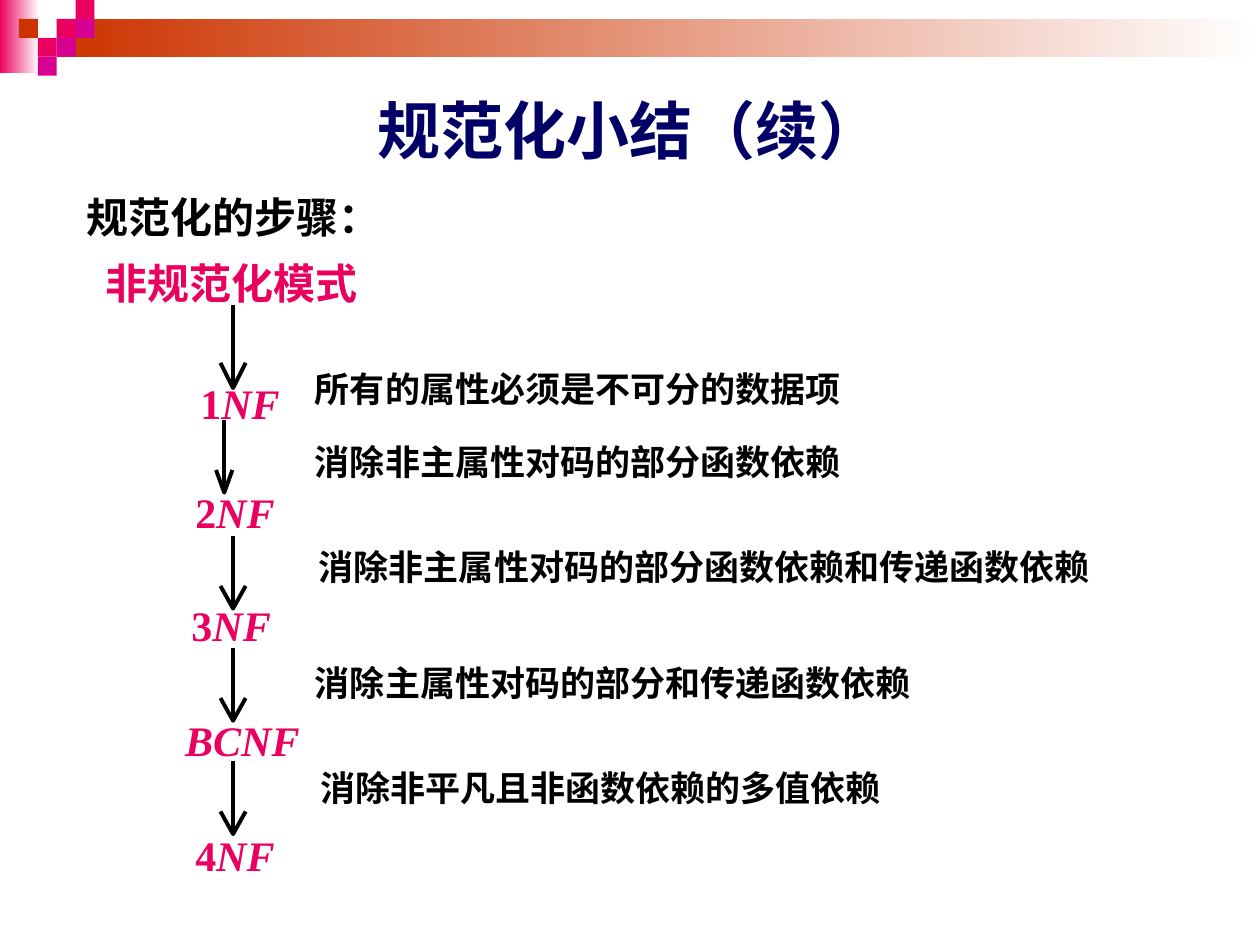
import pptx
import pptx.dml.color
import pptx.enum.shapes
import pptx.enum.text
import pptx.oxml
import pptx.util
from dataclasses import dataclass

Inches = pptx.util.Inches
Pt = pptx.util.Pt


@dataclass(frozen=True)
class Theme:
    pink: str = "EA005F"
    magenta: str = "D60093"
    rust: str = "CC3300"
    navy: str = "000066"
    black: str = "000000"
    white: str = "FFFFFF"
    title_size: int = 36
    step_size: int = 24
    note_size: int = 20
    heading_font: str = "Arial"
    body_font: str = "Times New Roman"
    line_width: float = 2.25


THEME = Theme()
SQUARE = 0.15


def color(value):
    return pptx.dml.color.RGBColor.from_string(value)


def add_block(slide, left, top, width, height, start, end=None):
    """Add a borderless rectangle, solid or fading from left to right."""
    shape = slide.shapes.add_shape(
        pptx.enum.shapes.MSO_SHAPE.RECTANGLE,
        Inches(left), Inches(top), Inches(width), Inches(height))
    shape.shadow.inherit = False
    shape.line.fill.background()
    if end is None:
        shape.fill.solid()
        shape.fill.fore_color.rgb = color(start)
        return
    shape.fill.gradient()
    shape.fill.gradient_angle = 0
    for stop, value in zip(shape.fill.gradient_stops, (start, end)):
        stop.color.rgb = color(value)


def add_text(slide, left, top, width, height, runs, size, font, value,
             wrap=True, margins=(0, 0)):
    """Add a bold one-line text box; runs are (text, italic) pairs."""
    box = slide.shapes.add_textbox(
        Inches(left), Inches(top), Inches(width), Inches(height))
    frame = box.text_frame
    frame.word_wrap = wrap
    frame.auto_size = pptx.enum.text.MSO_AUTO_SIZE.SHAPE_TO_FIT_TEXT
    frame.margin_left = frame.margin_right = Inches(margins[0])
    frame.margin_top = frame.margin_bottom = Inches(margins[1])
    paragraph = frame.paragraphs[0]
    for text, italic in runs:
        run = paragraph.add_run()
        run.text = text
        run.font.name = font
        run.font.size = Pt(size)
        run.font.bold = True
        run.font.italic = italic
        run.font.color.rgb = color(value)
    return box


def style_line(shape):
    shape.line.color.rgb = color(THEME.black)
    shape.line.width = Pt(THEME.line_width)


def add_arrow(slide, x, top, bottom, half_width, head_height):
    """Add a downward arrow: a shaft and an open V-shaped head."""
    shaft = slide.shapes.add_connector(
        pptx.enum.shapes.MSO_CONNECTOR.STRAIGHT,
        Inches(x), Inches(top), Inches(x), Inches(bottom))
    shaft._element.spPr.append(pptx.oxml.parse_xml(
        '<a:effectLst xmlns:a='
        '"http://schemas.openxmlformats.org/drawingml/2006/main"/>'))
    style_line(shaft)
    shoulder = bottom - head_height
    builder = slide.shapes.build_freeform(
        Inches(x - half_width), Inches(shoulder))
    builder.add_line_segments(
        [(Inches(x), Inches(bottom)),
         (Inches(x + half_width), Inches(shoulder))], close=False)
    head = builder.convert_to_shape()
    head.shadow.inherit = False
    head.fill.background()
    style_line(head)


def add_banner(slide):
    add_block(slide, 0, 0, 0.31, 0.58, THEME.pink, THEME.white)
    add_block(slide, 0.45, 0.15, 9.55, 0.3, THEME.rust, THEME.white)
    # Squares on a grid of (column, row)
    for column, row, value in (
            (3, 1, THEME.pink), (4, 0, THEME.pink), (4, 1, THEME.magenta),
            (2, 2, THEME.pink), (1, 1, THEME.rust), (3, 2, THEME.magenta),
            (2, 3, THEME.magenta)):
        add_block(slide, column * SQUARE, row * SQUARE, SQUARE, SQUARE, value)


def add_headings(slide):
    title = add_text(slide, 0.5, 0.5, 9, 1.05, [("规范化小结（续）", False)],
                     THEME.title_size, THEME.heading_font, THEME.navy,
                     margins=(0.1, 0.05))
    title.text_frame.auto_size = pptx.enum.text.MSO_AUTO_SIZE.NONE
    title.text_frame.vertical_anchor = pptx.enum.text.MSO_ANCHOR.MIDDLE
    title.text_frame.paragraphs[0].alignment = pptx.enum.text.PP_ALIGN.CENTER

    subtitle = add_text(slide, 0.67, 1.47, 3.07, 0.5,
                        [("规范化的步骤：", False)], THEME.step_size,
                        THEME.heading_font, THEME.black, margins=(0.02, 0.05))
    subtitle.text_frame.paragraphs[0].space_before = Pt(15)


def add_steps(slide):
    # Conditions beside the arrows
    for left, top, width, text in (
            (2.5, 2.92, 5, "所有的属性必须是不可分的数据项"),
            (2.5, 3.5, 4.83, "消除非主属性对码的部分函数依赖"),
            (2.53, 4.33, 6.72, "消除非主属性对码的部分函数依赖和传递函数依赖"),
            (2.5, 5.25, 5.5, "消除主属性对码的部分和传递函数依赖"),
            (2.54, 6.08, 5.29, "消除非平凡且非函数依赖的多值依赖")):
        add_text(slide, left, top, width, 0.33, [(text, False)],
                 THEME.note_size, THEME.body_font, THEME.black)

    # Normal forms, from the unnormalized schema down
    add_text(slide, 0.84, 2.04, 2.42, 0.4, [("非规范化模式", False)],
             THEME.step_size, THEME.body_font, THEME.pink)
    for left, top, width, runs in (
            (1.59, 3, 0.63, [("1", False), ("NF", True)]),
            (1.55, 3.86, 0.63, [("2", False), ("NF", True)]),
            (1.52, 4.76, 0.63, [("3", False), ("NF", True)]),
            (1.47, 5.67, 0.91, [("BCNF", True)]),
            (1.55, 6.58, 0.63, [("4", False), ("NF", True)])):
        add_text(slide, left, top, width, 0.4, runs, THEME.step_size,
                 THEME.body_font, THEME.pink, wrap=False)

    # Arrows between the forms
    add_arrow(slide, 1.85, 2.42, 3.08, 0.1, 0.2)
    add_arrow(slide, 1.78, 3.33, 3.91, 0.065, 0.18)
    for top in (4.25, 5.14, 6.04):
        add_arrow(slide, 1.85, top, top + 0.58, 0.1, 0.18)


def main():
    presentation = pptx.Presentation()
    presentation.slide_width = Inches(10)
    presentation.slide_height = Inches(7.5)
    slide = presentation.slides.add_slide(presentation.slide_layouts[6])
    add_banner(slide)
    add_headings(slide)
    add_steps(slide)
    presentation.save("out.pptx")


if __name__ == "__main__":
    main()
